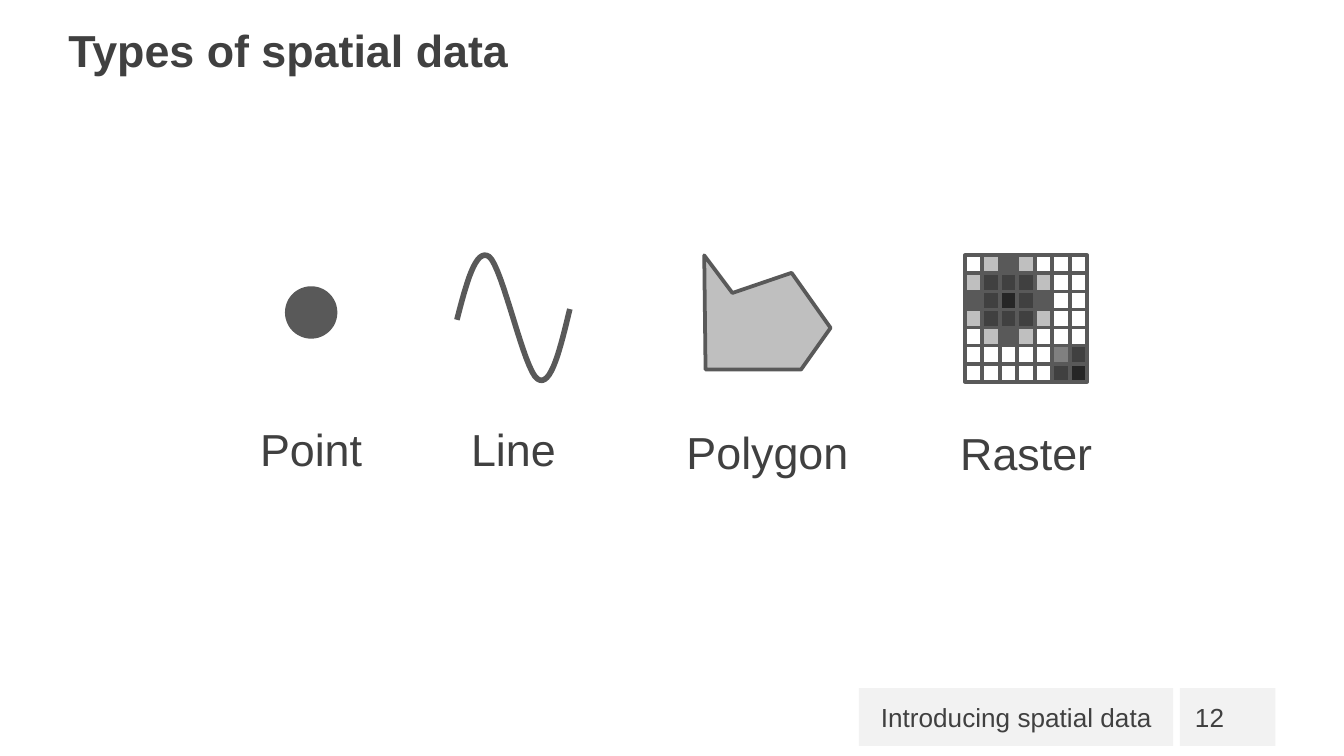
from lxml.etree import SubElement
from pptx import Presentation
from pptx.dml.color import RGBColor
from pptx.enum.shapes import MSO_SHAPE as Preset
from pptx.enum.text import MSO_ANCHOR as Anchor, PP_ALIGN as Align
from pptx.oxml.ns import qn
from pptx.util import Inches, Pt

DARK, GREY, LIGHT, PANEL = "404040", "595959", "BFBFBF", "F2F2F2"

# text, box (left, top, width, height), alignment, font format
TITLE = ("Types of spatial data", (0.41, 0.12, 3.5, 0.5), Align.LEFT,
         {"size": Pt(24), "bold": True})
LABELS = [
    ("Point", (1.83, 3.09, 0.97, 0.5)),
    ("Line", (3.4, 3.09, 0.84, 0.5)),
    ("Polygon", (5, 3.11, 1.42, 0.5)),
    ("Raster", (7.04, 3.12, 1.19, 0.5)),
]
PAGE_PANEL = (8.78, 5.12, 0.71, 0.43)
# text, box, alignment, side inset
FOOTERS = [
    ("Introducing spatial data", (6.39, 5.12, 2.34, 0.43), Align.RIGHT, 0.16),
    ("12", (8.78, 5.12, 0.44, 0.43), Align.CENTER, 0.1),
]

POINT = (2.12, 2.13, 0.39, 0.39)
# Start point, then two control points and an end point for each Bézier curve
WAVE = [(3.4, 2.38),
        (3.47, 2.11), (3.54, 1.84), (3.64, 1.91),
        (3.74, 1.99), (3.9, 2.76), (4, 2.82),
        (4.1, 2.89), (4.17, 2.59), (4.24, 2.3)]
POLYGON = [(5.24, 1.9), (5.25, 2.75), (5.96, 2.75),
           (6.18, 2.44), (5.89, 2.03), (5.45, 2.18)]

RASTER = (7.18, 1.9, 0.91, 0.94)
SHADES = {".": "FFFFFF", "1": LIGHT, "2": "808080",
          "3": GREY, "4": DARK, "5": "262626"}
RASTER_ROWS = [".131...",
               "14441..",
               "34543..",
               "14441..",
               ".131...",
               ".....24",
               ".....45"]


def color(hex_value):
    return RGBColor.from_string(hex_value)


def paint(shape, fill=None, line_width=None):
    shape.shadow.inherit = False
    if fill:
        shape.fill.solid()
        shape.fill.fore_color.rgb = color(fill)
    else:
        shape.fill.background()
    if line_width:
        shape.line.color.rgb = color(GREY)
        shape.line.width = Pt(line_width)
    else:
        shape.line.fill.background()


def add_preset(shapes, preset, box, **style):
    shape = shapes.add_shape(preset, *map(Inches, box))
    paint(shape, **style)
    return shape


def add_outline(shapes, points, closed, **style):
    """Draw straight segments through the points, with round joins."""
    start, *others = [(Inches(x), Inches(y)) for x, y in points]
    builder = shapes.build_freeform(*start)
    builder.add_line_segments(others, close=closed)
    shape = builder.convert_to_shape()
    paint(shape, **style)
    SubElement(shape.element.spPr.find(qn("a:ln")), qn("a:round"))


def bezier_points(controls, steps=16):
    points = [controls[0]]
    for first in range(0, len(controls) - 1, 3):
        curve = controls[first:first + 4]
        for step in range(1, steps + 1):
            t = step / steps
            weights = ((1 - t) ** 3, 3 * t * (1 - t) ** 2,
                       3 * t ** 2 * (1 - t), t ** 3)
            points.append(tuple(sum(w * value for w, value in zip(weights, axis))
                                for axis in zip(*curve)))
    return points


def write(shape, text, alignment, font, frame=None):
    text_frame = shape.text_frame
    for name, value in {"word_wrap": False, **(frame or {})}.items():
        setattr(text_frame, name, value)
    paragraph = text_frame.paragraphs[0]
    paragraph.alignment = alignment
    run = paragraph.add_run()
    run.text = text
    for name, value in {"name": "Arial", **font}.items():
        setattr(run.font, name, value)
    run.font.color.rgb = color(DARK)


def add_raster(slide):
    left, top, width, height = RASTER
    cell_width = width / len(RASTER_ROWS[0])
    cell_height = height / len(RASTER_ROWS)
    group = slide.shapes.add_group_shape()
    for row, codes in enumerate(RASTER_ROWS):
        for column, code in enumerate(codes):
            box = (left + column * cell_width, top + row * cell_height,
                   cell_width, cell_height)
            add_preset(group.shapes, Preset.RECTANGLE, box,
                       fill=SHADES[code], line_width=2)


def main():
    presentation = Presentation()
    presentation.slide_width = Inches(10)
    presentation.slide_height = Inches(10 * 9 / 16)
    slide = presentation.slides.add_slide(presentation.slide_layouts[6])
    shapes = slide.shapes

    add_preset(shapes, Preset.RECTANGLE, PAGE_PANEL, fill=PANEL)
    for text, box, alignment, inset in FOOTERS:
        panel = add_preset(shapes, Preset.RECTANGLE, box, fill=PANEL)
        write(panel, text, alignment, {"size": Pt(14)},
              {"vertical_anchor": Anchor.MIDDLE,
               "margin_left": Inches(inset), "margin_right": Inches(inset)})

    add_preset(shapes, Preset.OVAL, POINT, fill=GREY)
    add_outline(shapes, bezier_points(WAVE), closed=False, line_width=3)
    add_outline(shapes, POLYGON, closed=True, fill=LIGHT, line_width=2)
    add_raster(slide)

    labels = [(*label, Align.CENTER, {"size": Pt(24)}) for label in LABELS]
    for text, box, alignment, font in [TITLE, *labels]:
        write(shapes.add_textbox(*map(Inches, box)), text, alignment, font)

    presentation.save("out.pptx")


if __name__ == "__main__":
    main()
